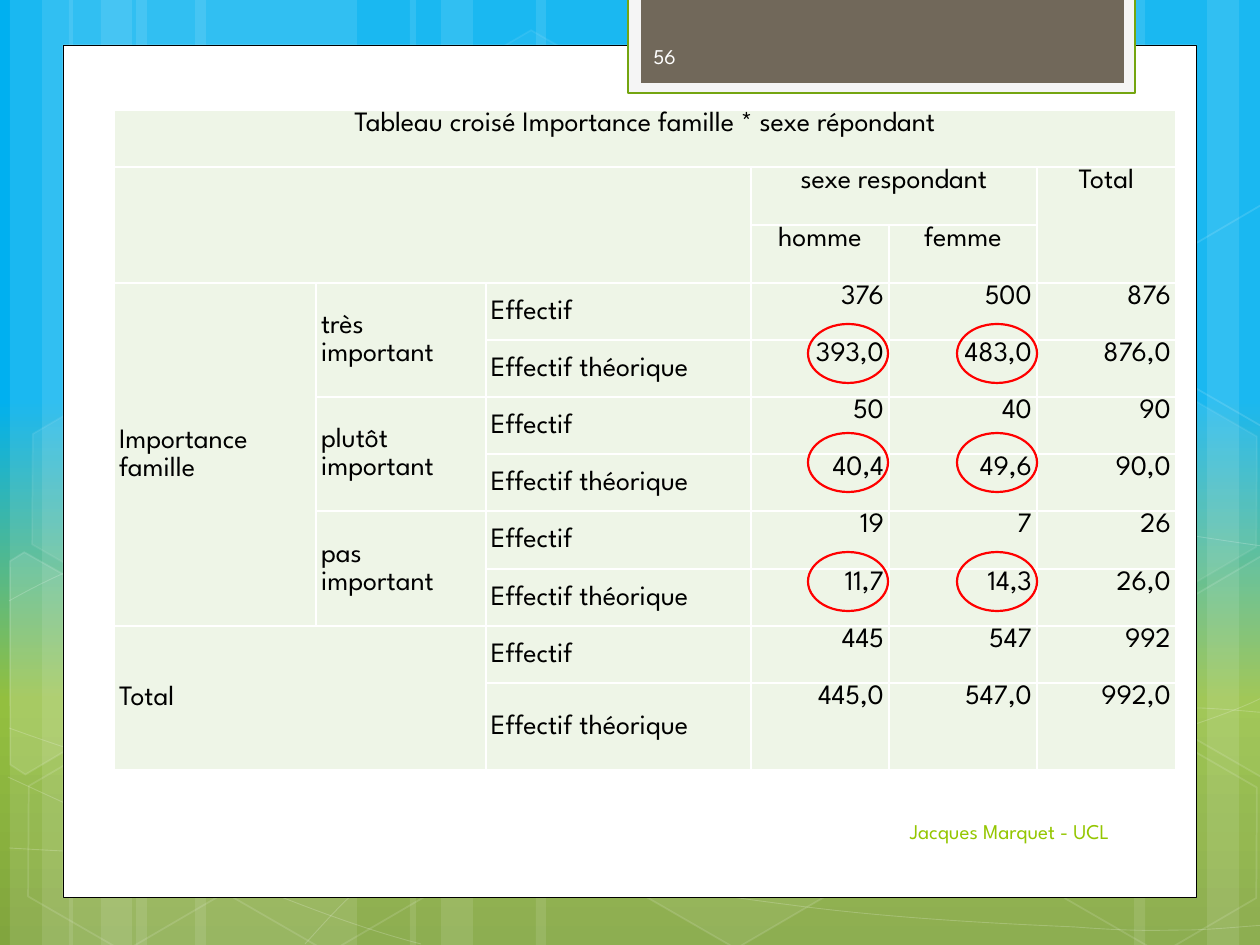
from math import cos, radians, sin

from lxml.etree import SubElement
from pptx import Presentation
from pptx.dml.color import RGBColor
from pptx.enum.shapes import MSO_SHAPE
from pptx.enum.text import MSO_ANCHOR, PP_ALIGN
from pptx.oxml.ns import qn
from pptx.util import Emu, Pt

PX = 914400 / 126
FONT = "League Spartan"
WHITE = RGBColor(0xFF, 0xFF, 0xFF)
BLACK = RGBColor(0x00, 0x00, 0x00)
NEAR_WHITE = RGBColor(0xFE, 0xFE, 0xFE)
PALE_GREY = RGBColor(0xF5, 0xF5, 0xF5)
BROWN = RGBColor(0x71, 0x68, 0x5A)
GREEN = RGBColor(0x74, 0xA5, 0x10)
LIME = RGBColor(0x94, 0xC6, 0x00)
CELL = RGBColor(0xEE, 0xF5, 0xE7)
RED = RGBColor(0xFF, 0x00, 0x00)
SKY = RGBColor(0x00, 0xB0, 0xF0)
LEAF = RGBColor(0x93, 0xBF, 0x3F)
MOSS = RGBColor(0x81, 0xA5, 0x3E)

GRADIENT = [(0, SKY), (42, SKY), (74, LEAF), (100, MOSS)]
# left, width, rotation
STRIPES = [(136, 221, 0), (10, 63, 0), (42, 105, 0), (195, 221, 0), (69, 63, 0),
           (101, 105, 0), (924, 221, 180), (1207, 63, 180), (1134, 105, 180),
           (536, 388, 0), (410, 63, 0), (441, 105, 0)]
# Start point, then two control points and an end point for each Bezier segment
WAVES = [
    [(9, 848), (77, 852), (145, 856), (239, 854), (334, 853), (451, 850), (577, 838),
     (703, 825), (882, 801), (998, 777), (1113, 753), (1231, 716), (1269, 694)],
    [(9, 601), (45, 581), (82, 562), (152, 543), (224, 524), (326, 496), (437, 488),
     (549, 479), (685, 478), (824, 488), (963, 498), (1193, 537), (1269, 547)],
    [(8, 777), (160, 847), (311, 916), (421, 944)],
    [(9, 728), (48, 742), (88, 756), (161, 776), (234, 795), (344, 827), (450, 848),
     (554, 869), (687, 892), (791, 905), (896, 919), (1008, 924), (1075, 927),
     (1140, 932), (1158, 930), (1191, 930), (1223, 929), (1246, 926), (1269, 925)],
    [(305, 944), (328, 919), (350, 893), (381, 871), (411, 848), (454, 823), (489, 805),
     (524, 788), (546, 780), (592, 767), (638, 755), (722, 737), (766, 728),
     (811, 719), (818, 719), (857, 717), (896, 713), (958, 709), (1000, 708),
     (1045, 707), (1116, 708), (1116, 708), (1116, 708), (1201, 708), (1201, 708),
     (1223, 709), (1245, 711), (1256, 712), (1268, 713), (1264, 712), (1268, 713)],
]
# left, top, fill opacity (0 = no fill), line opacity
HEXAGONS = [(421, 45, 4, 8), (626, 742, 6, 12), (14, 745, 0, 12), (18, 393, 7, 8),
            (219, 746, 0, 12), (949, 571, 10, 12), (1051, 747, 0, 12), (1051, 396, 7, 8)]
LEFT_CUT = [(10, 561), (24, 552), (121, 607), (120, 718), (25, 774), (10, 765)]
RIGHT_CUT = [(1167, 611), (1261, 556), (1271, 562), (1271, 772), (1263, 777), (1167, 722)]
RIGHT_CUT_RISE = 351

COLUMNS = [202, 170, 265, 138, 148, 139]
ROWS = [57, 58, 58] + [57] * 4 + [58, 57, 57, 87]
HEADINGS = {(0, 0): "Tableau croisé Importance famille * sexe répondant",
            (1, 3): "sexe respondant", (1, 5): "Total", (2, 3): "homme", (2, 4): "femme"}
ROW_LABELS = {(3, 0): "Importance famille", (3, 1): "très important",
              (5, 1): "plutôt important", (7, 1): "pas important", (9, 0): "Total"}
MEASURES = ["Effectif", "Effectif théorique"]
COUNTS = [("376", "500", "876"), ("393,0", "483,0", "876,0"),
          ("50", "40", "90"), ("40,4", "49,6", "90,0"),
          ("19", "7", "26"), ("11,7", "14,3", "26,0"),
          ("445", "547", "992"), ("445,0", "547,0", "992,0")]
# first row, first column, last row, last column
MERGES = [(0, 0, 0, 5), (1, 0, 2, 2), (1, 3, 1, 4), (1, 5, 2, 5), (3, 0, 8, 0),
          (3, 1, 4, 1), (5, 1, 6, 1), (7, 1, 8, 1), (9, 0, 10, 1)]


def px(*values):
    return [Emu(round(v * PX)) for v in values]


def set_opacity(parent, percent):
    color = parent.find(qn("a:solidFill")).find(qn("a:srgbClr"))
    SubElement(color, qn("a:alpha"), val=str(percent * 1000))


def paint(sp, fill=None, fill_opacity=100, line=None, width=1, line_opacity=100):
    sp.shadow.inherit = False
    spPr = sp.element.spPr
    if fill is None:
        sp.fill.background()
    else:
        sp.fill.solid()
        sp.fill.fore_color.rgb = fill
        if fill_opacity < 100:
            set_opacity(spPr, fill_opacity)
    if line is None:
        sp.line.fill.background()
    else:
        sp.line.color.rgb = line
        sp.line.width = Pt(width)
        if line_opacity < 100:
            set_opacity(spPr.find(qn("a:ln")), line_opacity)


def add_preset(shapes, kind, box, rotation=0, **look):
    sp = shapes.add_shape(kind, *px(*box))
    sp.rotation = rotation
    paint(sp, **look)
    return sp


def add_outline(shapes, points, close, **look):
    builder = shapes.build_freeform(*points[0], scale=PX)
    builder.add_line_segments(points[1:], close=close)
    sp = builder.convert_to_shape()
    paint(sp, **look)
    return sp


def add_wave(shapes, points):
    """Draw a line through the segment ends, then bend each segment into a Bezier curve."""
    ends = points[::3]
    sp = add_outline(shapes, ends, False, line=WHITE, width=0.5, line_opacity=20)
    left, top = (min(values) for values in zip(*ends))
    path = next(sp.element.iter(qn("a:path")))
    for segment in path.findall(qn("a:lnTo")):
        path.remove(segment)
    for i in range(1, len(points), 3):
        curve = SubElement(path, qn("a:cubicBezTo"))
        for x, y in points[i:i + 3]:
            SubElement(curve, qn("a:pt"), x=str(x - left), y=str(y - top))


def add_cut_hexagon(shapes, points, cx, cy, **look):
    """Draw the outline turned back by 30 degrees, then rotate the shape."""
    c, s = cos(radians(30)), sin(radians(30))
    level = [(cx + c * (x - cx) + s * (y - cy), cy - s * (x - cx) + c * (y - cy))
             for x, y in points]
    add_outline(shapes, level, True, line=WHITE, line_opacity=12, **look).rotation = 30


def write(tf, text, size, color, align):
    p = tf.paragraphs[0]
    p.alignment = align
    r = p.add_run()
    r.text = text
    for name, value in {"name": FONT, "size": Pt(size), "bold": False}.items():
        setattr(r.font, name, value)
    r.font.color.rgb = color
    return p


def add_label(slide, box, text, color, align):
    tf = slide.shapes.add_textbox(*px(*box)).text_frame
    tf.word_wrap = True
    tf.vertical_anchor = MSO_ANCHOR.MIDDLE
    write(tf, text, 12, color, align)


def fill_background(slide):
    fill = slide.background.fill
    fill.gradient()
    fill.gradient_angle = 270
    stops = next(slide.element.iter(qn("a:gsLst")))
    for stop in list(stops):
        stops.remove(stop)
    for percent, color in GRADIENT:
        stop = SubElement(stops, qn("a:gs"), pos=str(percent * 1000))
        SubElement(stop, qn("a:srgbClr"), val=str(color))


def add_decor(slide):
    shapes = slide.shapes.add_group_shape().shapes
    for left, width, rotation in STRIPES:
        add_preset(shapes, MSO_SHAPE.RECTANGLE, (left, 0, width, 945), rotation,
                   fill=WHITE, fill_opacity=10)
    for wave in WAVES:
        add_wave(shapes, wave)
    for left, top, opacity, line_opacity in HEXAGONS:
        sp = add_preset(shapes, MSO_SHAPE.HEXAGON, (left, top, 220, 192), 30,
                        fill=WHITE if opacity else None, fill_opacity=opacity,
                        line=WHITE, line_opacity=line_opacity)
        sp.adjustments[0] = 0.285
    add_cut_hexagon(shapes, LEFT_CUT, 45, 674, fill=WHITE, fill_opacity=10)
    add_cut_hexagon(shapes, RIGHT_CUT, 1241, 655, fill=WHITE, fill_opacity=4)
    add_cut_hexagon(shapes, [(x, y - RIGHT_CUT_RISE) for x, y in RIGHT_CUT],
                    1241, 655 - RIGHT_CUT_RISE)


def format_cell(cell):
    for side in ("left", "top", "right", "bottom"):
        setattr(cell, f"margin_{side}", 0)
    for tag in ("a:lnL", "a:lnR", "a:lnT", "a:lnB"):
        ln = SubElement(cell._tc.get_or_add_tcPr(), qn(tag), w=str(Pt(1)))
        SubElement(SubElement(ln, qn("a:solidFill")), qn("a:srgbClr"), val=str(WHITE))
    cell.fill.solid()
    cell.fill.fore_color.rgb = CELL


def add_crosstab(slide):
    box = px(114, 110, sum(COLUMNS), sum(ROWS))
    table = slide.shapes.add_table(len(ROWS), len(COLUMNS), *box).table
    table.first_row = table.horz_banding = False
    for column, width in zip(table.columns, px(*COLUMNS)):
        column.width = width
    for row, height in zip(table.rows, px(*ROWS)):
        row.height = height
    for cell in table.iter_cells():
        format_cell(cell)
    for r1, c1, r2, c2 in MERGES:
        table.cell(r1, c1).merge(table.cell(r2, c2))

    labels, numbers = dict(ROW_LABELS), {}
    for i, counts in enumerate(COUNTS):
        labels[3 + i, 2] = MEASURES[i % 2]
        numbers.update({(3 + i, 3 + j): count for j, count in enumerate(counts)})
    for texts, align, anchor in ((HEADINGS, PP_ALIGN.CENTER, MSO_ANCHOR.TOP),
                                 (labels, PP_ALIGN.LEFT, MSO_ANCHOR.MIDDLE),
                                 (numbers, PP_ALIGN.RIGHT, MSO_ANCHOR.TOP)):
        for place, text in texts.items():
            cell = table.cell(*place)
            cell.vertical_anchor = anchor
            p = write(cell.text_frame, text, 16, BLACK, align)
            p.line_spacing = Pt(16)
            for side in ("marL", "marR"):
                p._p.get_or_add_pPr().set(side, str(px(5)[0]))


def main():
    prs = Presentation()
    prs.slide_width, prs.slide_height = px(1260, 945)
    slide = prs.slides.add_slide(prs.slide_layouts[6])
    fill_background(slide)
    add_decor(slide)
    for box, look in (((63, 45, 1134, 853), {"fill": WHITE, "line": BLACK, "width": 0.5}),
                      ((628, -3, 507, 96), {"fill": PALE_GREY, "line": GREEN, "width": 1.25}),
                      ((641, -3, 483, 86), {"fill": BROWN})):
        add_preset(slide.shapes, MSO_SHAPE.RECTANGLE, box, **look)
    add_label(slide, (639, 806, 483, 50), "Jacques Marquet - UCL", LIME, PP_ALIGN.RIGHT)
    add_label(slide, (641, 31, 184, 50), "56", NEAR_WHITE, PP_ALIGN.LEFT)
    add_crosstab(slide)
    for top in (324, 433, 552):
        for left in (808, 957):
            add_preset(slide.shapes, MSO_SHAPE.OVAL, (left, top, 80, 59), line=RED, width=1.25)
    prs.save("out.pptx")


if __name__ == "__main__":
    main()
